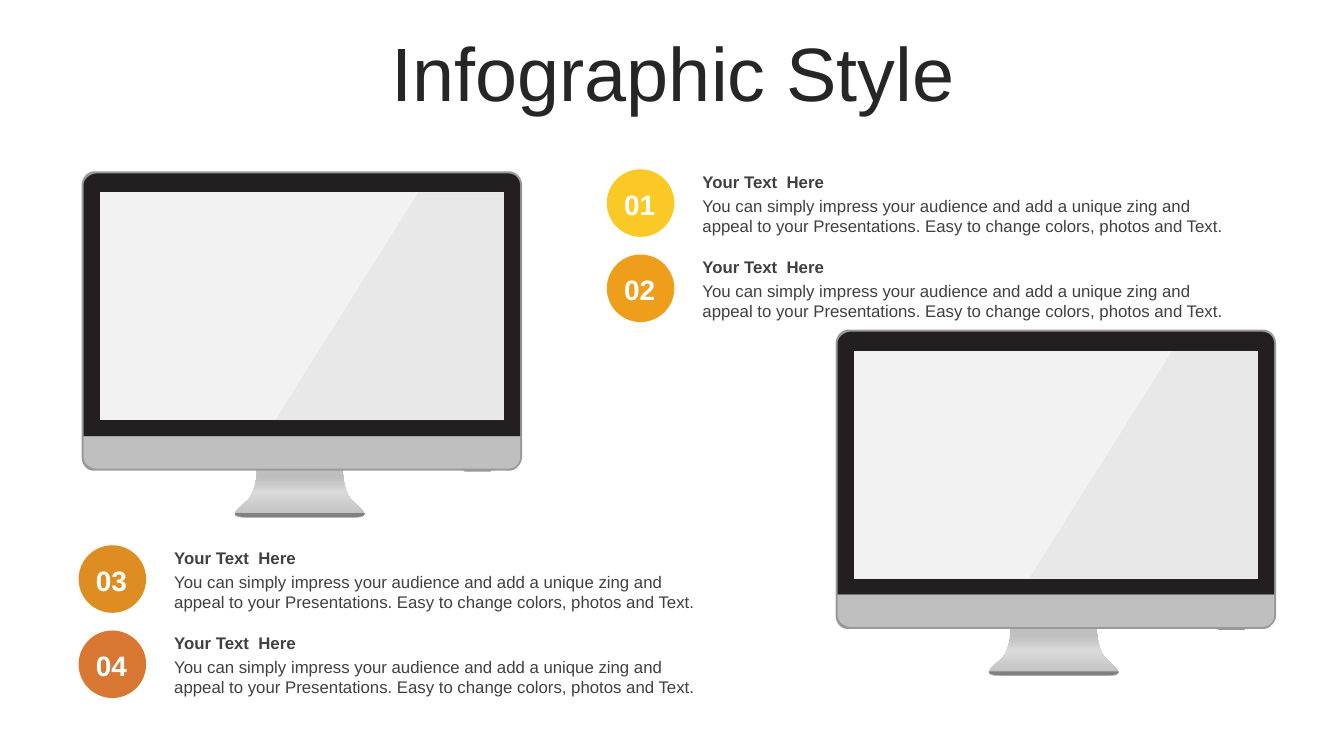
from copy import deepcopy

from lxml.etree import SubElement
from pptx import Presentation
from pptx.dml.color import RGBColor
from pptx.enum.shapes import MSO_SHAPE
from pptx.enum.text import MSO_ANCHOR, PP_ALIGN
from pptx.oxml.ns import qn
from pptx.util import Inches, Pt

CELL = 0.1  # grid cell in inches; all lengths below are columns and rows
COLUMNS, ROWS = 133.33, 75

HEADING = "Your Text  Here"
BODY = ("You can simply impress your audience and add a unique zing and "
        "appeal to your Presentations. Easy to change colors, photos and Text.")

# Monitor outlines, measured from the top left corner of the case.
# Two numbers are a straight step, six numbers a Bézier curve.
STAND = [(26.8, 32.6), (25.9, 31.7, 25.9, 29.6, 25.9, 29.6), (17.4, 29.6),
         (17.4, 29.6, 17.4, 31.6, 16.5, 32.6),
         (15.5, 33.5, 14.1, 34.4, 16.6, 34.4), (26.7, 34.4),
         (29.2, 34.4, 27.7, 33.5, 26.8, 32.6)]
CASE = [(42.4, 0), (1.3, 0), (0.6, 0, 0, 0.6, 0, 1.4), (0, 28.3),
        (0, 29.1, 0.5, 29.7, 1.2, 29.7), (42.4, 29.7),
        (43.1, 29.7, 43.7, 29, 43.7, 28.3), (43.7, 1.4),
        (43.7, 0.6, 43.1, 0, 42.4, 0)]
PORT = [(37.9, 29.5), (37.9, 29.5, 37.8, 29.8, 38.1, 29.8), (40.5, 29.8),
        (40.5, 29.8, 40.7, 29.8, 40.7, 29.5)]
BEZEL = [(42.2, 0.2), (1.6, 0.2), (0.9, 0.2, 0.2, 0.7, 0.2, 1.4), (0.2, 26.3),
         (43.5, 26.3), (43.5, 1.4), (43.5, 0.7, 43, 0.2, 42.2, 0.2)]
FOOT = [(15.2, 33.9), (15.2, 34.2, 15.6, 34.3, 16.7, 34.3), (26.7, 34.3),
        (27.7, 34.3, 28.1, 34.2, 28.1, 33.9)]
CHIN = [(0.2, 28.3), (0.2, 29, 0.9, 29.5, 1.6, 29.5), (42.2, 29.5),
        (43, 29.5, 43.5, 29, 43.5, 28.3), (43.5, 26.3), (0.2, 26.3)]
SCREEN = [(1.8, 2.1), (41.9, 2.1), (41.9, 24.7), (1.8, 24.7)]
GLARE = [(33.4, 2.1), (41.9, 2.1), (41.9, 24.7), (19.2, 24.7)]
STAND_STOPS = [(0, "BFBFBF"), (0.53, "D9D9D9"), (0.83, "BFBFBF"), (1, "BFBFBF")]


def color(code):
    return RGBColor.from_string(code)


def grid(cells):
    return Inches(cells * CELL)


def flatten(outline, steps=12):
    """Turn straight steps and curves into a list of points."""
    points = [outline[0]]
    for step in outline[1:]:
        if len(step) == 2:
            points.append(step)
            continue
        x0, y0 = points[-1]
        x1, y1, x2, y2, x3, y3 = step
        for index in range(1, steps + 1):
            t = index / steps
            a, b, c, d = (1 - t) ** 3, 3 * t * (1 - t) ** 2, 3 * t * t * (1 - t), t ** 3
            points.append((a * x0 + b * x1 + c * x2 + d * x3,
                           a * y0 + b * y1 + c * y2 + d * y3))
    return points


def write(box, text, size=12, fill="404040", bold=False, align=PP_ALIGN.LEFT,
          spacing=None, font="Arial"):
    para = box.text_frame.paragraphs[0]
    para.alignment = align
    para.line_spacing = spacing
    span = para.add_run()
    span.text = text
    span.font.name = font
    span.font.size = Pt(size)
    span.font.bold = bold
    span.font.color.rgb = color(fill)


class Canvas:
    def __init__(self, page):
        self.page = page

    def group(self):
        return self.page.shapes.add_group_shape()

    def text(self, text, left, top, width, height, parent=None,
             anchor=MSO_ANCHOR.TOP, side=1, **style):
        shapes = (parent or self.page).shapes
        box = shapes.add_textbox(*map(grid, (left, top, width, height)))
        frame = box.text_frame
        frame.word_wrap = True
        frame.vertical_anchor = anchor
        frame.margin_left = frame.margin_right = grid(side)
        write(box, text, **style)

    def circle(self, left, top, size, fill):
        shape = self.page.shapes.add_shape(
            MSO_SHAPE.OVAL, *map(grid, (left, top, size, size)))
        self.paint(shape, fill)

    def outline(self, parent, outline, left, top, fill, alpha=None):
        points = [(grid(left + x), grid(top + y)) for x, y in flatten(outline)]
        builder = parent.shapes.build_freeform(*points[0])
        builder.add_line_segments(points[1:], close=True)
        self.paint(builder.convert_to_shape(), fill, alpha)

    def paint(self, shape, fill, alpha=None):
        shape.shadow.inherit = False
        shape.line.fill.background()
        if isinstance(fill, list):
            self.gradient(shape, fill)
            return
        shape.fill.solid()
        shape.fill.fore_color.rgb = color(fill)
        if alpha is not None:
            tint = next(shape.element.spPr.iter(qn("a:srgbClr")))
            SubElement(tint, qn("a:alpha")).set("val", str(alpha * 1000))

    def gradient(self, shape, stops):
        shape.fill.gradient()
        shape.fill.gradient_angle = 90
        holder = next(shape.element.spPr.iter(qn("a:gsLst")))
        while len(holder) < len(stops):
            holder.append(deepcopy(holder[0]))
        for stop, (position, code) in zip(shape.fill.gradient_stops, stops):
            stop.position = position
            stop.color.rgb = color(code)

    def monitor(self, left, top):
        group = self.group()
        for outline, fill, alpha in [
                (STAND, STAND_STOPS, None), (CASE, "999999", None),
                (PORT, "999999", None), (BEZEL, "231F20", None),
                (FOOT, "808080", None), (CHIN, "BFBFBF", None),
                (SCREEN, "F2F2F2", None), (GLARE, "999999", 10)]:
            self.outline(group, outline, left, top, fill, alpha)

    def item(self, number, left, top, fill):
        self.circle(left, top, 6.7, fill)
        self.text(number, left + 0.7, top + 1.25, 5.1, 4.4, side=0,
                  anchor=MSO_ANCHOR.MIDDLE, size=20, fill="FFFFFF", bold=True,
                  align=PP_ALIGN.CENTER)
        group = self.group()
        self.text(BODY, left + 8.5, top + 2.1, 55.9, 5, group)
        self.text(HEADING, left + 8.5, top - 0.3, 55.9, 3, group, bold=True)


def main():
    deck = Presentation()
    deck.slide_width, deck.slide_height = grid(COLUMNS), grid(ROWS)
    canvas = Canvas(deck.slides.add_slide(deck.slide_layouts[6]))

    # Monitors
    canvas.monitor(8.1, 17)
    canvas.monitor(82.9, 32.7)

    # Title
    canvas.text("Infographic Style", 3.5, 3.7, 126.6, 7.9, size=54, fill="262626",
                anchor=MSO_ANCHOR.MIDDLE, align=PP_ALIGN.CENTER, spacing=0.9)

    # Numbered items, two beside each monitor
    fills = ["FAC926", "EF9E1B", "DE8D22", "D87732"]
    corners = [(60.2, 16.8), (7.8, 54.1)]
    for index, fill in enumerate(fills):
        block, row = divmod(index, 2)
        left, top = corners[block]
        canvas.item(f"{index + 1:02}", left, top + row * 8.45, fill)

    deck.save("out.pptx")


if __name__ == "__main__":
    main()
